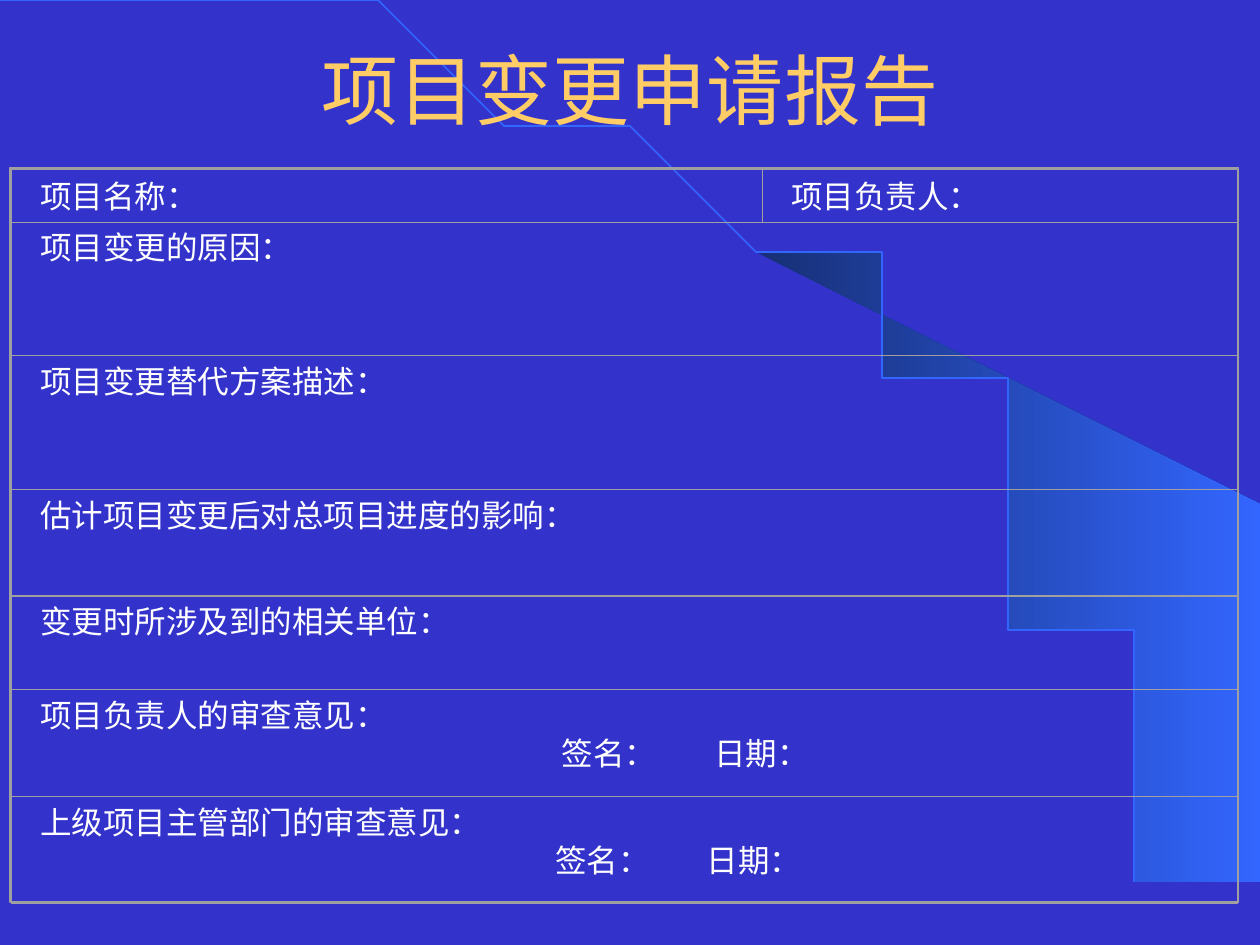
import math

import pptx
import pptx.dml.color
import pptx.enum.text
import pptx.oxml.ns
import pptx.util
from lxml import etree

COLOURS = {"ground": "3333CC", "beam": "3366FF", "beam_dark": "172F75",
           "title": "FFCC66", "text": "FFFFFF", "rule": "A0A0A0"}
ALIGN = pptx.enum.text.PP_ALIGN
ANCHOR = pptx.enum.text.MSO_ANCHOR

# Form grid in inches: every row is a whole number of units high
LEFT, TOP, WIDTH, UNIT, PAD = 0.09, 1.34, 9.73, 0.106, 0.13
# Quarter ellipse that sweeps from the top left corner to the bottom edge
RADIUS_X, RADIUS_Y = 9.2, 7.49


def colour(name):
    return pptx.dml.color.RGBColor.from_string(COLOURS[name])


def arc(start, steps=60):
    angles = [start + (math.pi / 2 - start) * step / steps for step in range(steps + 1)]
    return [(RADIUS_X * math.sin(angle), RADIUS_Y * (1 - math.cos(angle))) for angle in angles]


class FormSlide:
    def __init__(self, deck):
        self.page = deck.slides.add_slide(deck.slide_layouts[6])
        self.page.background.fill.solid()
        self.page.background.fill.fore_color.rgb = colour("ground")

    def outline(self, shape, name, width):
        shape.shadow.inherit = False
        shape.line.color.rgb = colour(name)
        shape.line.width = pptx.util.Pt(width)

    def curve(self, points, closed):
        builder = self.page.shapes.build_freeform(*points[0], scale=pptx.util.Inches(1))
        builder.add_line_segments(points[1:], close=closed)
        shape = builder.convert_to_shape()
        shape.shadow.inherit = False
        return shape

    def frame(self, left, top, width, height, line_width):
        kind = pptx.enum.shapes.MSO_SHAPE.RECTANGLE
        shape = self.page.shapes.add_shape(kind, *map(pptx.util.Inches, (left, top, width, height)))
        shape.fill.background()
        self.outline(shape, "rule", line_width)

    def text(self, area, paragraphs, size, name, align, anchor, tabs=()):
        """Each paragraph is a list of (text, font) spans."""
        box = self.page.shapes.add_textbox(*map(pptx.util.Inches, area))
        frame = box.text_frame
        frame.word_wrap = True
        frame.vertical_anchor = anchor
        for index, spans in enumerate(paragraphs):
            para = frame.add_paragraph() if index else frame.paragraphs[0]
            para.alignment = align
            if index and tabs:
                self.tab_stops(para, tabs)
            for words, font in spans:
                span = para.add_run()
                span.text = words
                span.font.color.rgb = colour(name)
                for key, value in {"size": pptx.util.Pt(size), "name": font}.items():
                    setattr(span.font, key, value)

    def tab_stops(self, para, tabs):
        qn = pptx.oxml.ns.qn
        stops = etree.SubElement(para._p.get_or_add_pPr(), qn("a:tabLst"))
        for position in tabs:
            etree.SubElement(stops, qn("a:tab"), pos=str(pptx.util.Inches(position)), algn="l")

    def cell(self, left, top, width, height, lines, align, anchor, tabs=()):
        area = (left + PAD, top, width - 2 * PAD, height)
        paragraphs = [[(line, "Times New Roman")] for line in lines]
        self.text(area, paragraphs, 18, "text", align, anchor, tabs)
        self.frame(left, top, width, height, 0)


def main():
    deck = pptx.Presentation()
    deck.slide_width, deck.slide_height = pptx.util.Inches(10), pptx.util.Inches(7.5)
    slide = FormSlide(deck)

    # Background beam and arc
    beam = slide.curve(arc(math.asin(5.89 / RADIUS_X)) + [(9.99, 7.49), (9.99, 4.23)], True)
    beam.line.fill.background()
    beam.fill.gradient()
    beam.fill.gradient_angle = 0
    for stop, name in zip(beam.fill.gradient_stops, ("beam_dark", "beam")):
        stop.color.rgb = colour(name)
    sweep = slide.curve(arc(0), False)
    sweep.fill.background()
    slide.outline(sweep, "beam", 1)

    # Title
    slide.text((0.75, 0.08, 8.5, 1.25),
               [[("项目变更申请", "Times New Roman"), ("报告", "Arial")]],
               44, "title", ALIGN.CENTER, ANCHOR.MIDDLE)

    # Heading row: two cells
    split, head = 5.96, 4 * UNIT
    for left, width, label in ((LEFT, split, "项目名称："),
                               (LEFT + split, WIDTH - split, "项目负责人：")):
        slide.cell(left, TOP, width, head, [label], ALIGN.JUSTIFY, ANCHOR.MIDDLE)

    # Full-width rows: units high, lines, tab stops of the signature line
    signature = "\t签名：\t日期："
    rows = [
        (10, ["项目变更的原因："], ()),
        (10, ["项目变更替代方案描述："], ()),
        (8, ["估计项目变更后对总项目进度的影响："], ()),
        (7, ["变更时所涉及到的相关单位："], ()),
        (8, ["项目负责人的审查意见：", signature], (4.14, 5.35)),
        (8, ["上级项目主管部门的审查意见：", signature], (4.09, 5.29)),
    ]
    top = TOP + head
    for units, lines, tabs in rows:
        slide.cell(LEFT, top, WIDTH, units * UNIT, lines, ALIGN.LEFT, ANCHOR.TOP, tabs)
        top += units * UNIT

    # Outer frame
    slide.frame(LEFT - 0.01, TOP - 0.01, WIDTH + 0.02, top - TOP, 0.75)

    deck.save("out.pptx")


if __name__ == "__main__":
    main()
